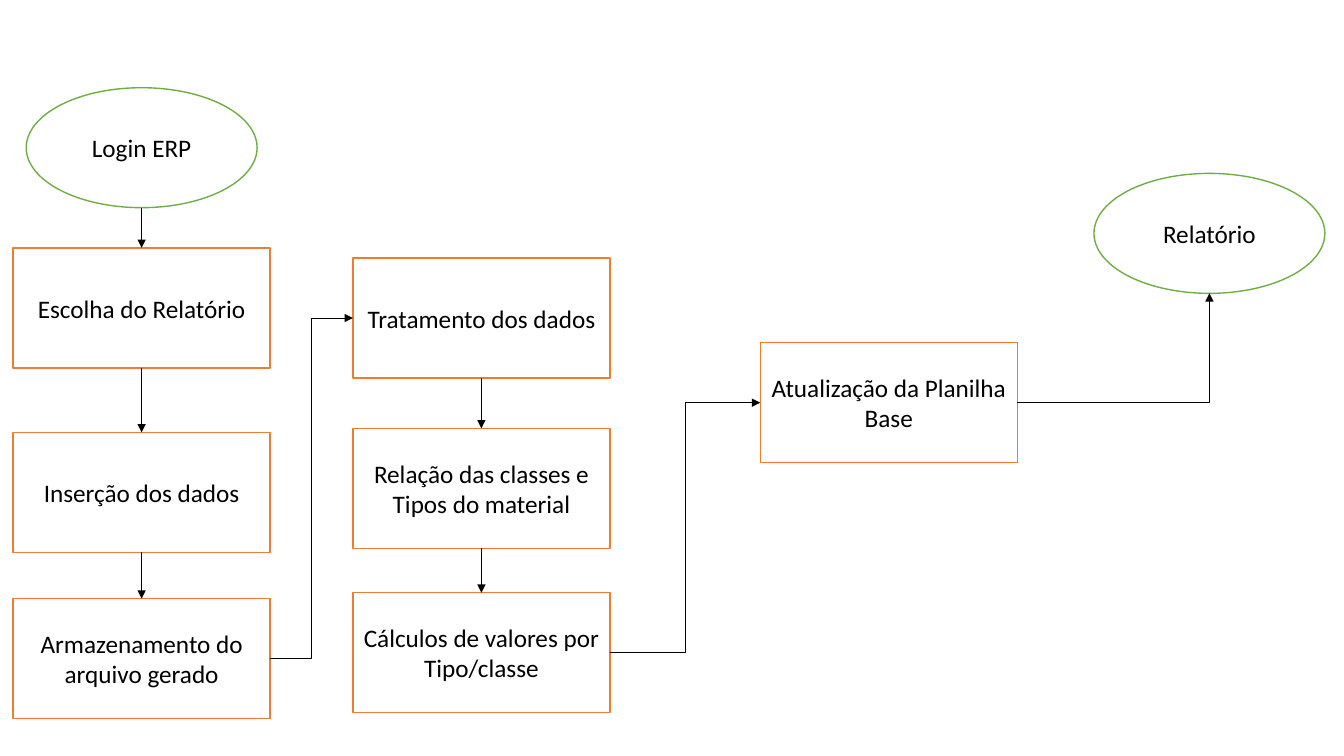
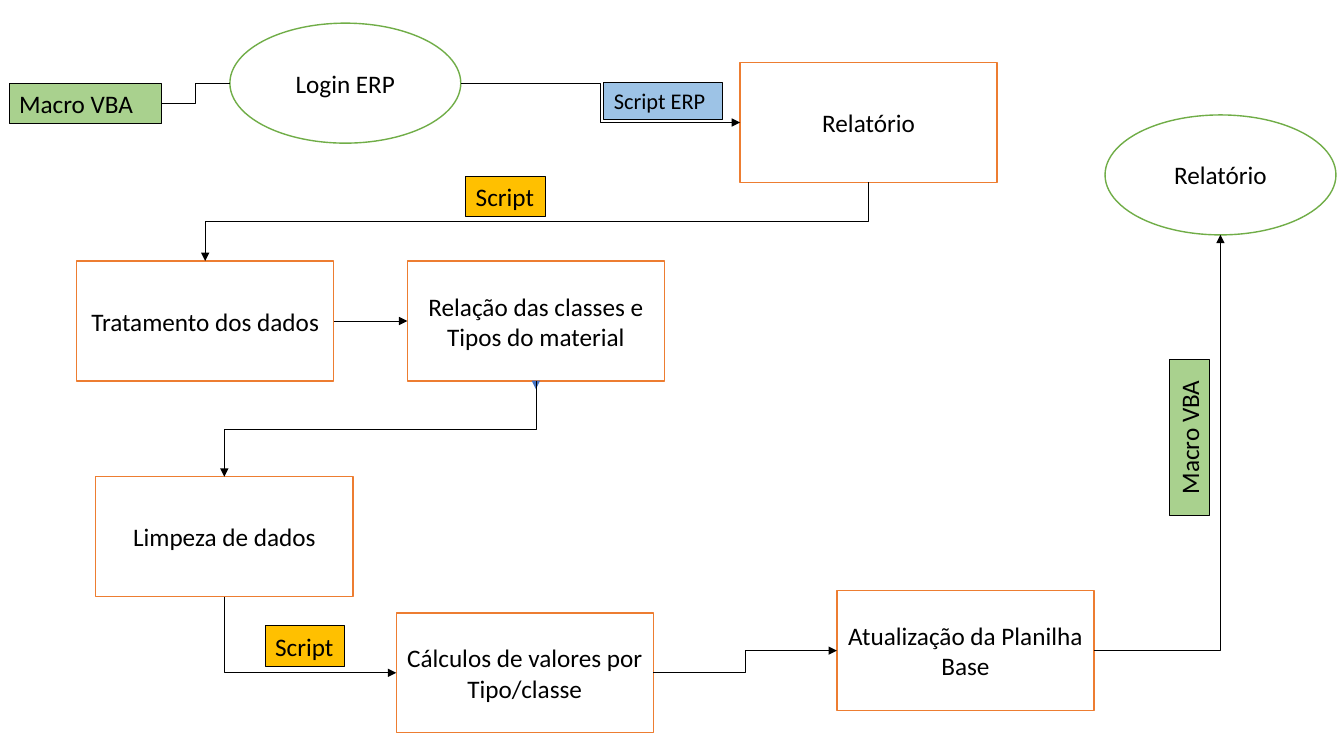
from dataclasses import dataclass

from lxml import etree
from pptx import Presentation
from pptx.dml.color import RGBColor
from pptx.enum import shapes, text
from pptx.oxml import ns
from pptx.util import Inches, Pt


@dataclass(frozen=True)
class Theme:
    font: str = "Calibri"
    ink: str = "000000"
    paper: str = "FFFFFF"
    step: str = "ED7D31"
    terminal: str = "70AD47"
    macro: str = "A9D18E"
    script: str = "FFC000"
    erp: str = "9DC3E6"
    accent: str = "4472C4"
    body: int = 18
    small: int = 16
    outline: float = 1
    label_outline: float = 0.75
    wire: float = 0.5


THEME = Theme()
STEP_W, TERMINAL_W, NODE_H, LABEL_H = 2.55, 2.29, 1.19, 0.4
SIDES = ("top", "left", "bottom", "right")
OVAL = shapes.MSO_SHAPE.OVAL


def write(sp, content, size=THEME.body, color=THEME.ink, align=text.PP_ALIGN.CENTER,
          anchor=text.MSO_ANCHOR.MIDDLE):
    tf = sp.text_frame
    tf.word_wrap = True
    tf.vertical_anchor = anchor
    p = tf.paragraphs[0]
    p.alignment = align
    r = p.add_run()
    r.text = content
    r.font.name = THEME.font
    r.font.size = Pt(size)
    r.font.color.rgb = RGBColor.from_string(color)


def paint(sp, fill, line, width):
    sp.fill.solid()
    sp.fill.fore_color.rgb = RGBColor.from_string(fill)
    sp.line.color.rgb = RGBColor.from_string(line)
    sp.line.width = Pt(width)


def add_node(slide, kind, content, x, y, width, line):
    sp = slide.shapes.add_shape(kind, Inches(x), Inches(y), Inches(width), Inches(NODE_H))
    sp.shadow.inherit = False
    paint(sp, THEME.paper, line, THEME.outline)
    write(sp, content)
    return sp


def add_step(slide, content, x, y):
    return add_node(slide, shapes.MSO_SHAPE.RECTANGLE, content, x, y, STEP_W, THEME.step)


def add_terminal(slide, content, x, y):
    return add_node(slide, OVAL, content, x, y, TERMINAL_W, THEME.terminal)


def add_label(slide, content, x, y, width, fill, height=LABEL_H, size=THEME.body, rotation=0):
    sp = slide.shapes.add_textbox(Inches(x), Inches(y), Inches(width), Inches(height))
    sp.rotation = rotation
    paint(sp, fill, THEME.ink, THEME.label_outline)
    align = text.PP_ALIGN.CENTER if rotation else text.PP_ALIGN.LEFT
    write(sp, content, size, align=align, anchor=text.MSO_ANCHOR.TOP)
    if not rotation:
        sp.text_frame.margin_right = 0
    return sp


def port(sp, side):
    across = {"left": 0, "right": sp.width}.get(side, sp.width // 2)
    down = {"top": 0, "bottom": sp.height}.get(side, sp.height // 2)
    return sp.left + across, sp.top + down


def site(sp, side):
    index = SIDES.index(side)
    oval = sp.shape_type == shapes.MSO_SHAPE_TYPE.AUTO_SHAPE and sp.auto_shape_type == OVAL
    return index * 2 if oval else index


def glue(end, sp, side):
    end.id = sp.shape_id
    end.idx = site(sp, side)


def add_wire(slide, kind, start, end, color=THEME.ink, head=True):
    cxn = slide.shapes.add_connector(kind, *start, *end)
    cxn.line.color.rgb = RGBColor.from_string(color)
    cxn.line.width = Pt(THEME.wire)
    if head:
        etree.SubElement(cxn.line._get_or_add_ln(), ns.qn("a:tailEnd"), type="triangle")
    etree.SubElement(cxn._element.spPr, ns.qn("a:effectLst"))
    return cxn


def turn_downward(cxn, start, end):
    (x1, y1), (x2, y2) = start, end
    across, down = abs(x2 - x1), abs(y2 - y1)
    cxn.left, cxn.top = (x1 + x2 - down) // 2, (y1 + y2 - across) // 2
    cxn.width, cxn.height = down, across
    xfrm = cxn._element.spPr.find(ns.qn("a:xfrm"))
    for flip in ("flipH", "flipV"):
        xfrm.attrib.pop(flip, None)
    xfrm.set("rot", str((270 if x2 > x1 else 90) * 60000))
    if x2 > x1:
        xfrm.set("flipH", "1")


def connect(slide, source, out_side, target, in_side, head=True):
    start, end = port(source, out_side), port(target, in_side)
    leaves_down = out_side == "bottom"
    enters_down = in_side in ("top", "bottom")
    offset = abs(start[0] - end[0]) if leaves_down else abs(start[1] - end[1])
    straight = leaves_down == enters_down and offset < Inches(0.02)
    kind = shapes.MSO_CONNECTOR.STRAIGHT if straight else shapes.MSO_CONNECTOR.ELBOW
    cxn = add_wire(slide, kind, start, end, head=head)
    if leaves_down != enters_down:
        cxn._element.spPr.find(ns.qn("a:prstGeom")).set("prst", "bentConnector2")
    if leaves_down and not straight:
        turn_downward(cxn, start, end)
    ends = cxn._element.nvCxnSpPr.cNvCxnSpPr
    glue(ends.get_or_add_stCxn(), source, out_side)
    glue(ends.get_or_add_endCxn(), target, in_side)


def build_process(slide):
    login = add_terminal(slide, "Login ERP", 0.26, 0.87)
    report = add_terminal(slide, "Relatório", 10.85, 1.72)
    choose, insert, store = [add_step(slide, content, 0.13, y) for content, y in (
        ("Escolha do Relatório", 2.46),
        ("Inserção dos dados", 4.29),
        ("Armazenamento do arquivo gerado", 5.94))]
    treat, relate, compute = [add_step(slide, content, 3.5, y) for content, y in (
        ("Tratamento dos dados", 2.56),
        ("Relação das classes e Tipos do material", 4.25),
        ("Cálculos de valores por Tipo/classe", 5.88))]
    update = add_step(slide, "Atualização da Planilha Base", 7.54, 3.4)

    for column in ((login, choose, insert, store), (treat, relate, compute)):
        for upper, lower in zip(column, column[1:]):
            connect(slide, upper, "bottom", lower, "top")
    connect(slide, store, "right", treat, "left")
    connect(slide, compute, "right", update, "left")
    connect(slide, update, "right", report, "bottom")


def build_automation(slide):
    login = add_terminal(slide, "Login ERP", 2.28, 0.23)
    report = add_terminal(slide, "Relatório", 10.96, 1.14)
    extract = add_step(slide, "Relatório", 7.34, 0.62)
    treat = add_step(slide, "Tratamento dos dados", 0.76, 2.59)
    relate = add_step(slide, "Relação das classes e Tipos do material", 4.04, 2.59)
    clean = add_step(slide, "Limpeza de dados", 0.95, 4.73)
    compute = add_step(slide, "Cálculos de valores por Tipo/classe", 3.93, 6.08)
    update = add_step(slide, "Atualização da Planilha Base", 8.3, 5.86)

    macro = add_label(slide, "Macro VBA", 0.09, 0.83, 1.51, THEME.macro)
    add_label(slide, "Macro VBA", 11.02, 4.14, 1.55, THEME.macro, rotation=270)
    add_label(slide, "Script ERP", 5.99, 0.82, 1.18, THEME.erp, height=0.37, size=THEME.small)
    for x, y in ((4.62, 1.75), (2.63, 6.21)):
        add_label(slide, "Script", x, y, 0.79, THEME.script)

    x, y = port(relate, "bottom")
    add_wire(slide, shapes.MSO_CONNECTOR.STRAIGHT, (x, y), (x, y + Inches(0.08)), THEME.accent)
    connect(slide, macro, "right", login, "left", head=False)
    for source, out_side, target, in_side in (
            (login, "right", extract, "left"),
            (extract, "bottom", treat, "top"),
            (treat, "right", relate, "left"),
            (relate, "bottom", clean, "top"),
            (clean, "bottom", compute, "left"),
            (compute, "right", update, "left"),
            (update, "right", report, "bottom")):
        connect(slide, source, out_side, target, in_side)


def main():
    prs = Presentation()
    prs.slide_width, prs.slide_height = Inches(13.33), Inches(7.5)
    for build in (build_process, build_automation):
        build(prs.slides.add_slide(prs.slide_layouts[6]))
    prs.save("out.pptx")


if __name__ == "__main__":
    main()
